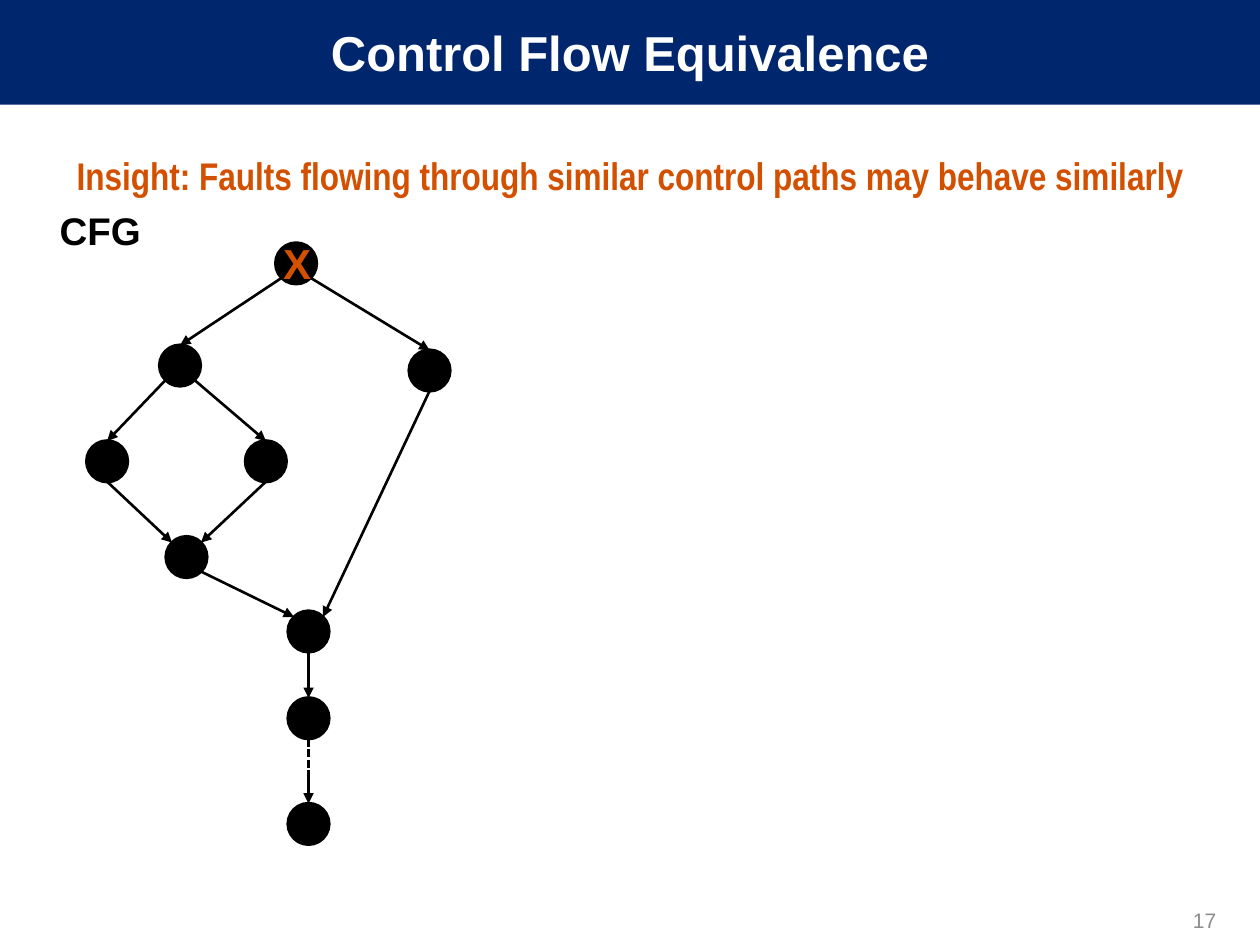
"""Build the Control Flow Equivalence slide with its control flow graph."""
from lxml import etree
from pptx import Presentation
from pptx.dml.color import RGBColor
from pptx.enum import dml, shapes, text
from pptx.oxml import ns
from pptx.util import Cm, Pt

NAVY = RGBColor(0x00, 0x26, 0x6E)
ORANGE = RGBColor(0xD2, 0x50, 0x00)
BLACK = RGBColor(0, 0, 0)
WHITE = RGBColor(0xFF, 0xFF, 0xFF)
GREY = RGBColor(0x8C, 0x8C, 0x8C)

DIAMETER = 0.82
SITES = {"n": (0, -1), "s": (0, 1), "ne": (0.71, -0.71), "nw": (-0.71, -0.71),
         "se": (0.71, 0.71), "sw": (-0.71, 0.71)}
NODES = {"entry": (5.97, 5.31), "left": (3.63, 7.37), "right": (8.66, 7.47),
         "then": (2.16, 9.3), "else": (5.36, 9.3), "join": (3.76, 11.23),
         "merge": (6.22, 12.73), "next": (6.22, 14.48), "exit": (6.22, 16.61)}
EDGES = [("entry", "se", "right", "n"), ("entry", "sw", "left", "n"),
         ("left", "se", "else", "n"), ("left", "sw", "then", "n"),
         ("then", "s", "join", "nw"), ("else", "s", "join", "ne"),
         ("join", "se", "merge", "nw"), ("right", "s", "merge", "ne"),
         ("merge", "s", "next", "n")]


def add_text(s, words, box, size, color, font="Arial", bold=True, fill=None,
             align=text.PP_ALIGN.CENTER, anchor=text.MSO_ANCHOR.TOP,
             wrap=True, inset=(0.25, 0.13), spacing=None):
    sp = s.shapes.add_textbox(*map(Cm, box))
    if fill is not None:
        sp.fill.solid()
        sp.fill.fore_color.rgb = fill
    tf = sp.text_frame
    tf.word_wrap = wrap
    tf.vertical_anchor = anchor
    tf.margin_left = tf.margin_right = Cm(inset[0])
    tf.margin_top = tf.margin_bottom = Cm(inset[1])
    p = tf.paragraphs[0]
    p.alignment = align
    if spacing:
        p.line_spacing = spacing
    r = p.add_run()
    r.text = words
    r.font.name, r.font.size, r.font.bold = font, Pt(size), bold
    r.font.color.rgb = color
    return sp


def add_node(s, center):
    x, y = center
    sp = s.shapes.add_shape(shapes.MSO_SHAPE.OVAL, Cm(x - DIAMETER / 2),
                            Cm(y - DIAMETER / 2), Cm(DIAMETER), Cm(DIAMETER))
    sp.shadow.inherit = False
    sp.fill.solid()
    sp.fill.fore_color.rgb = BLACK
    sp.line.color.rgb = BLACK
    sp.line.width = Pt(2)


def site(name, side):
    (x, y), (dx, dy) = NODES[name], SITES[side]
    return x + dx * DIAMETER / 2, y + dy * DIAMETER / 2


def add_line(s, start, end, arrow=True, dash=None):
    line = s.shapes.add_connector(shapes.MSO_CONNECTOR.STRAIGHT,
                                  *map(Cm, start + end))
    line.line.color.rgb = BLACK
    line.line.width = Pt(1.5)
    if dash:
        line.line.dash_style = dash
    if arrow:
        etree.SubElement(line.line._get_or_add_ln(), ns.qn("a:tailEnd"),
                         type="triangle")
    etree.SubElement(line._element.spPr, ns.qn("a:effectLst"))


def add_graph(s):
    for center in NODES.values():
        add_node(s, center)
    for source, leave, target, enter in EDGES:
        add_line(s, site(source, leave), site(target, enter))
    gap = (NODES["next"][0], 15.62)
    add_line(s, site("next", "s"), gap, arrow=False,
             dash=dml.MSO_LINE.SQUARE_DOT)
    add_line(s, gap, site("exit", "n"))


def main():
    prs = Presentation()
    prs.slide_width, prs.slide_height = Cm(25.4), Cm(19.05)
    s = prs.slides.add_slide(prs.slide_layouts[6])
    add_text(s, "Control Flow Equivalence", (0, 0, 25.4, 2.11), 28, WHITE,
             fill=NAVY, anchor=text.MSO_ANCHOR.MIDDLE)
    add_text(s, "Insight: Faults flowing through similar control paths may "
             "behave similarly", (0, 2.74, 25.4, 2.01), 22, ORANGE,
             font="Arial Narrow", spacing=1.2)
    add_text(s, "17", (18.85, 18.03, 5.92, 1.02), 12, GREY, bold=False,
             align=text.PP_ALIGN.RIGHT, anchor=text.MSO_ANCHOR.MIDDLE)
    add_text(s, "CFG", (0.84, 3.99, 2.36, 1.3), 22, BLACK, fill=WHITE,
             wrap=False, inset=(0.36, 0.18))
    add_graph(s)
    add_text(s, "X", (5.46, 4.65, 1.09, 1.27), 24, ORANGE, wrap=False,
             align=text.PP_ALIGN.LEFT)
    prs.save("out.pptx")


if __name__ == "__main__":
    main()
